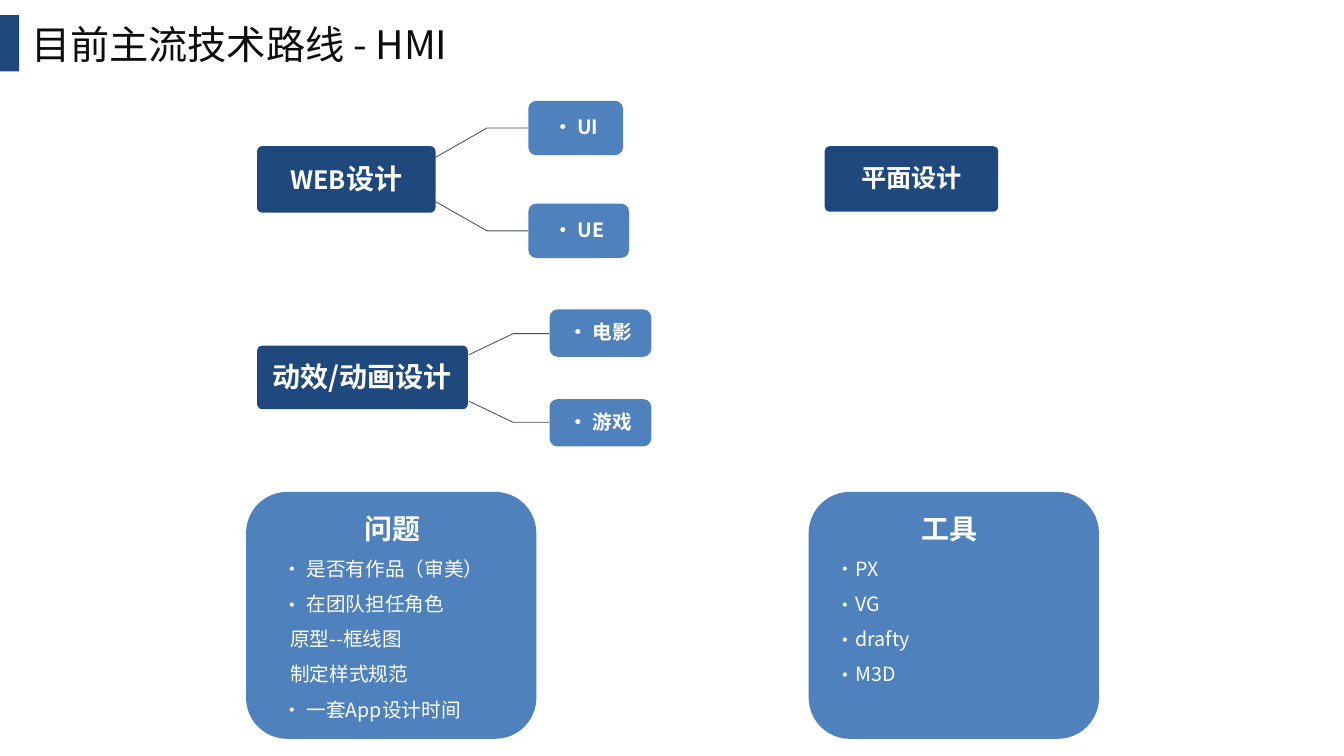
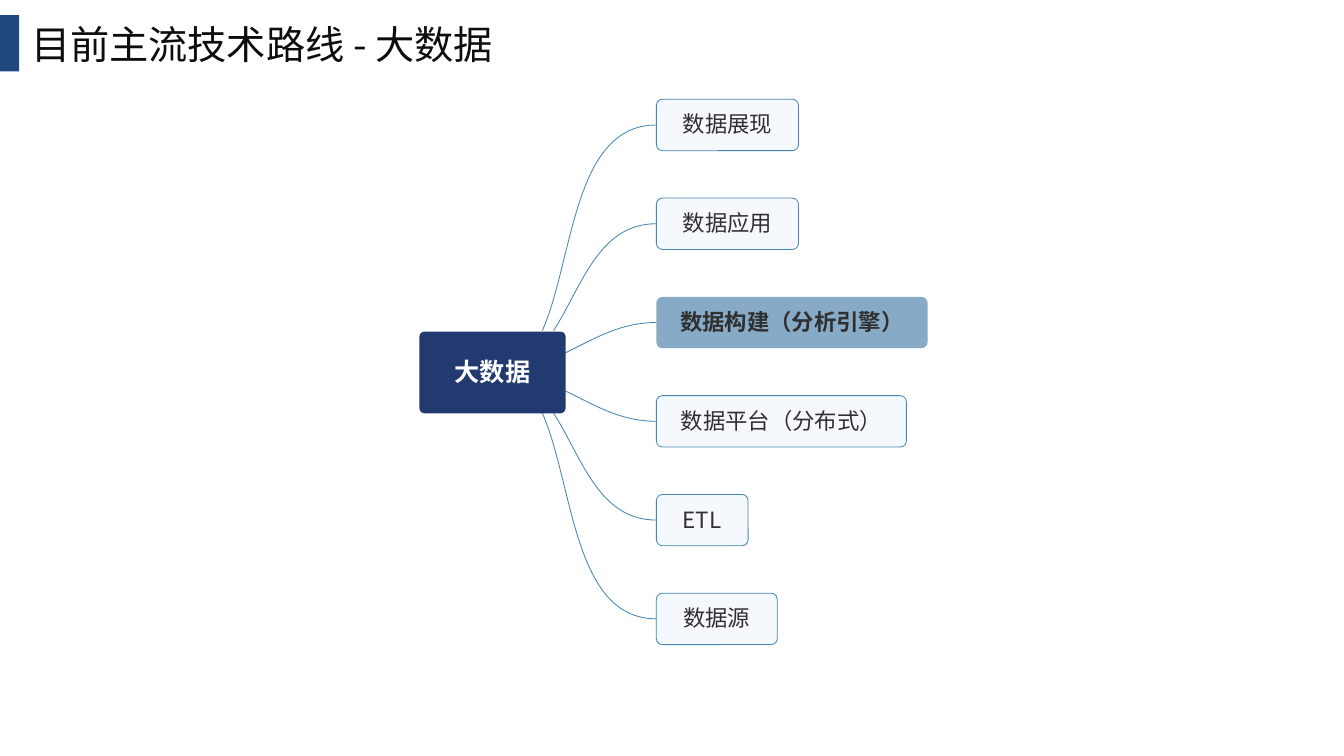
import pptx
import pptx.dml.color
import pptx.enum.shapes
import pptx.enum.text
import pptx.oxml
import pptx.oxml.ns
import pptx.util
from pptx.util import Inches

COLORS = {
    "title": "0D0D0D",
    "navy": "1F497D",
    "blue": "4F81BD",
    "white": "FFFFFF",
    "slate": "424F58",
    "hub": "233A70",
    "curve": "4486B1",
    "pale": "F5F9FE",
    "accent": "87AAC7",
    "ink": "303030",
}
FONT = "Noto Sans CJK SC"
RECT = pptx.enum.shapes.MSO_SHAPE.RECTANGLE
ROUNDED = pptx.enum.shapes.MSO_SHAPE.ROUNDED_RECTANGLE
ALIGN = pptx.enum.text.PP_ALIGN
MIDDLE = pptx.enum.text.MSO_ANCHOR.MIDDLE
TOP = pptx.enum.text.MSO_ANCHOR.TOP
NO_FIT = pptx.enum.text.MSO_AUTO_SIZE.NONE


def rgb(name):
    return pptx.dml.color.RGBColor.from_string(COLORS[name])


class Deck:
    def __init__(self):
        self.presentation = pptx.Presentation()
        self.presentation.slide_width = Inches(13.33)
        self.presentation.slide_height = Inches(7.5)
        self.slide = None

    def new_slide(self, layout, heading):
        layouts = self.presentation.slide_layouts
        self.slide = self.presentation.slides.add_slide(layouts.get_by_name(layout))
        title = self.slide.shapes.title
        self.place(title, 0.31, 0.15, 4.78, 0.69)
        self.frame(title.text_frame, MIDDLE, (0, 0, 0, 0))
        title.text_frame.text = heading
        paragraph = title.text_frame.paragraphs[0]
        paragraph.line_spacing = 0.7
        self.style(paragraph, 28, "title", align=ALIGN.LEFT)
        self.box(RECT, 0, 0.15, 0.19, 0.56, "navy")

    def place(self, shape, left, top, width, height):
        shape.left, shape.top = Inches(left), Inches(top)
        shape.width, shape.height = Inches(width), Inches(height)

    def frame(self, frame, anchor, margins, wrap=True):
        frame.auto_size = NO_FIT
        frame.word_wrap = wrap
        frame.vertical_anchor = anchor
        (frame.margin_left, frame.margin_top,
         frame.margin_right, frame.margin_bottom) = map(Inches, margins)

    def style(self, paragraph, size, color, bold=False, align=ALIGN.CENTER):
        paragraph.alignment = align
        font = paragraph.font
        font.size = pptx.util.Pt(size)
        font.bold = bold
        font.name = FONT
        font.color.rgb = rgb(color)
        latin = font._element.find(pptx.oxml.ns.qn("a:latin"))
        latin.addnext(pptx.oxml.parse_xml(
            f'<a:ea {pptx.oxml.ns.nsdecls("a")} typeface="{FONT}"/>'))

    def outline(self, shape, color):
        if color:
            shape.line.color.rgb = rgb(color)
            shape.line.width = pptx.util.Pt(0.6)
        else:
            shape.line.fill.background()

    def box(self, kind, left, top, width, height, fill, line=None, radius=None):
        shape = self.slide.shapes.add_shape(
            kind, Inches(left), Inches(top), Inches(width), Inches(height))
        shape.shadow.inherit = False
        shape.fill.solid()
        shape.fill.fore_color.rgb = rgb(fill)
        self.outline(shape, line)
        if radius:
            shape.adjustments[0] = radius / min(width, height)
        return shape

    def node(self, text, left, top, width, height, fill, size,
             color="white", bold=True, line=None, radius=0.05):
        shape = self.box(ROUNDED, left, top, width, height, fill, line, radius)
        self.frame(shape.text_frame, MIDDLE, (0, 0, 0, 0.02), wrap=False)
        paragraph = shape.text_frame.paragraphs[0]
        paragraph.text = text
        self.style(paragraph, size, color, bold)
        return paragraph

    def branch(self, points, color):
        corners = [(Inches(x), Inches(y)) for x, y in points]
        builder = self.slide.shapes.build_freeform(*corners[0])
        builder.add_line_segments(corners[1:], close=False)
        shape = builder.convert_to_shape()
        shape.shadow.inherit = False
        shape.fill.background()
        self.outline(shape, color)

    def curve(self, start, first, second, end, color, steps=32):
        points = []
        for step in range(steps + 1):
            t = step / steps
            weights = ((1 - t) ** 3, 3 * t * (1 - t) ** 2, 3 * t * t * (1 - t), t ** 3)
            controls = (start, first, second, end)
            points.append(tuple(
                sum(w * point[axis] for w, point in zip(weights, controls))
                for axis in (0, 1)))
        self.branch(points, color)

    def panel(self, index, left, text_left, text_width, indent, heading, items):
        self.box(ROUNDED, left, 4.88, 2.88, 2.45, "blue")
        body = self.slide.placeholders[index]
        self.slide.shapes._spTree.append(body._element)
        self.place(body, text_left, 5.02, text_width, 2.3)
        self.frame(body.text_frame, TOP, (0.1, 0.05, 0.1, 0.05))
        title = body.text_frame.paragraphs[0]
        title.text = heading
        title.line_spacing = pptx.util.Pt(24)
        self.style(title, 20, "white", bold=True)
        self.bullet(title, False, 0)
        for text, bulleted in items:
            item = body.text_frame.add_paragraph()
            item.text = text
            item.line_spacing = pptx.util.Pt(25.2)
            self.style(item, 14, "white", align=ALIGN.LEFT)
            self.bullet(item, bulleted, indent if bulleted else 0.08)

    def bullet(self, paragraph, bulleted, indent):
        paragraph.space_before = pptx.util.Pt(0)
        properties = paragraph._p.get_or_add_pPr()
        properties.set("marL", str(Inches(indent)))
        properties.set("indent", str(-Inches(indent) if bulleted else 0))
        marks = [f'buFont {{}} typeface="{FONT}"', 'buChar {} char="·"'] if bulleted else ["buNone {}"]
        defaults = properties.find(pptx.oxml.ns.qn("a:defRPr"))
        for mark in marks:
            defaults.addprevious(pptx.oxml.parse_xml(
                f'<a:{mark.format(pptx.oxml.ns.nsdecls("a"))}/>'))


def build_hmi(deck):
    deck.new_slide("Two Content", "目前主流技术路线 - HMI")
    deck.panel(1, 2.44, 2.7, 2.39, 0.24, "问题", [
        ("是否有作品（审美）", True),
        ("在团队担任角色", True),
        ("原型--框线图", False),
        ("制定样式规范", False),
        ("一套App设计时间", True),
    ])
    deck.panel(2, 8.02, 8.19, 2.45, 0.18, "工具", [
        (tool, True) for tool in ("PX", "VG", "drafty", "M3D")])

    for axis, start, bend, end, near, far in (
            (1.78, 4.32, 4.83, 5.24, 0.22, 0.51),
            (3.75, 4.65, 5.09, 5.45, 0.23, 0.44)):
        for side in (-1, 1):
            level = axis + side * far
            deck.branch([(start, axis + side * near), (bend, level), (end, level)], "slate")

    web = deck.node("", 2.55, 1.45, 1.77, 0.66, "navy", 20)
    for text, size in (("WEB", 18), ("设计", 20)):
        run = web.add_run()
        run.text = text
        run.font.size = pptx.util.Pt(size)
    deck.node("动效/动画设计", 2.55, 3.43, 2.09, 0.63, "navy", 20)
    deck.node("平面设计", 8.18, 1.45, 1.72, 0.65, "navy", 18)
    for text, left, top, width, height in (
            ("· UI", 5.24, 1, 0.94, 0.54),
            ("· UE", 5.24, 2.02, 1, 0.54),
            ("· 电影", 5.45, 3.07, 1.01, 0.47),
            ("· 游戏", 5.45, 3.96, 1.01, 0.47)):
        deck.node(text, left, top, width, height, "blue", 14, radius=0.08)


def build_big_data(deck):
    deck.new_slide("Title Only", "目前主流技术路线 - 大数据")
    axis, pitch, layer_left, layer_height = 3.69, 0.98, 6.51, 0.51
    curves = (
        ((5.61, 0.19), (5.9, 0.33), 6.15),
        ((5.49, 0.41), (5.77, 0.84), 5.93),
        ((5.38, 0.41), (5.69, 1.11), 5.68),
    )
    for rank, (start, first, approach) in enumerate(curves):
        rise = (rank + 0.5) * pitch
        for side in (-1, 1):
            deck.curve(*((x, axis + side * y) for x, y in (
                start, first, (approach, rise), (layer_left, rise))), "curve")

    deck.node("大数据", 4.16, 3.29, 1.45, 0.81, "hub", 18)
    layers = (
        ("数据展现", 1.41), ("数据应用", 1.41), ("数据构建（分析引擎）", 2.69),
        ("数据平台（分布式）", 2.48), ("ETL", 0.91), ("数据源", 1.2),
    )
    for row, (text, width) in enumerate(layers):
        top = axis + (row - 2.5) * pitch - layer_height / 2
        key = row == 2
        deck.node(text, layer_left, top, width, layer_height,
                  "accent" if key else "pale", 16, "ink", key,
                  None if key else "curve", 0.06)


def main():
    deck = Deck()
    build_hmi(deck)
    build_big_data(deck)
    deck.presentation.save("out.pptx")


if __name__ == "__main__":
    main()
